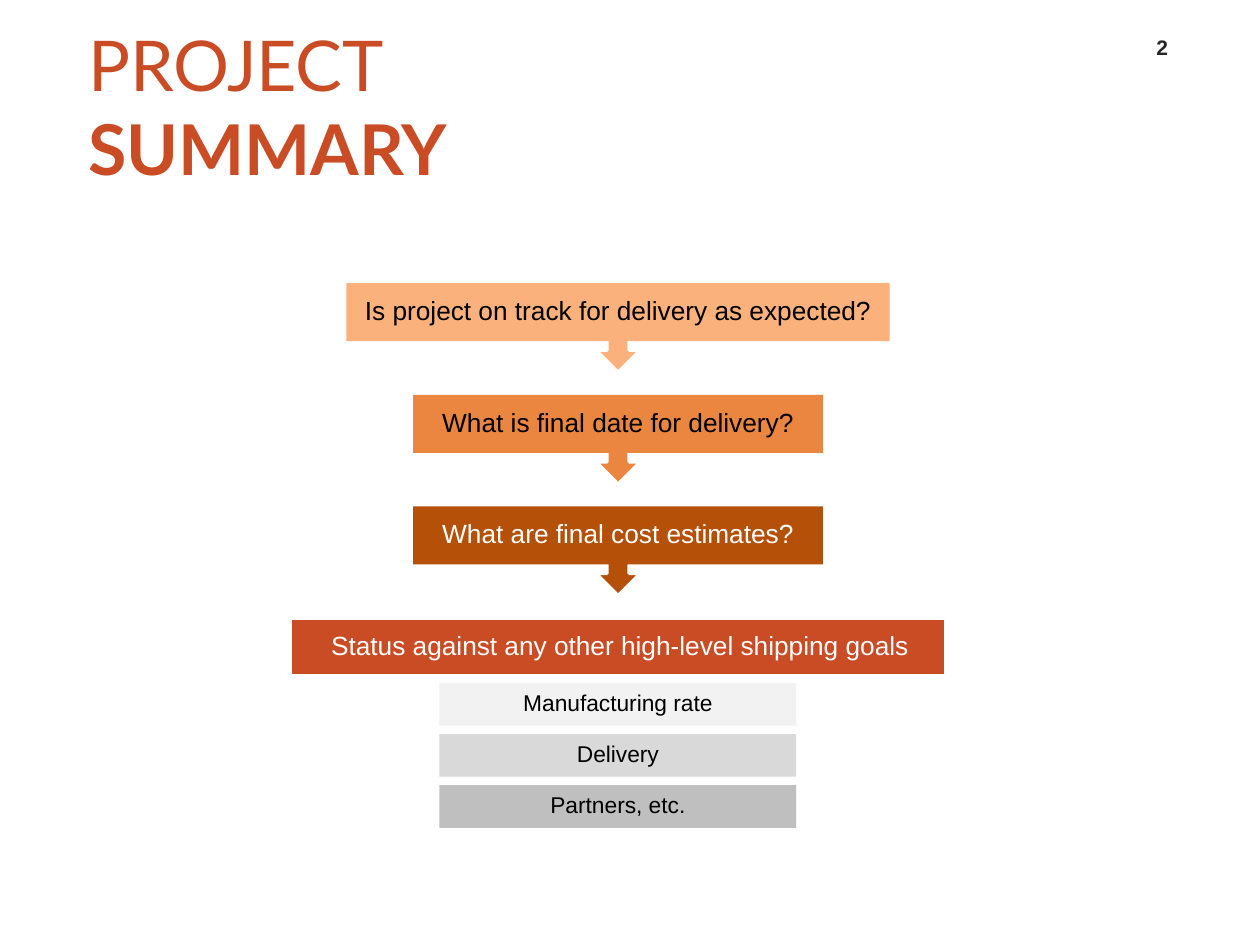
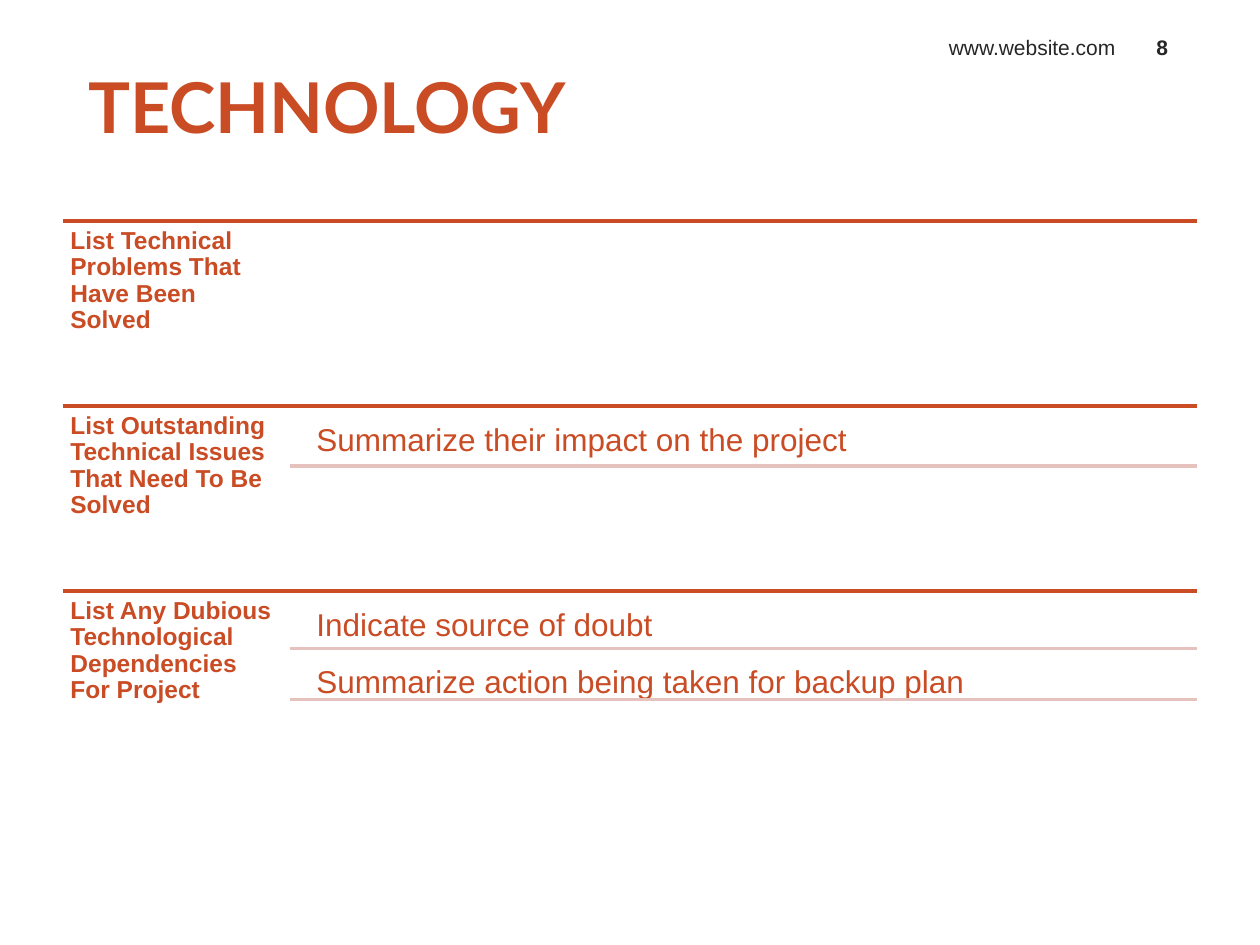
from dataclasses import dataclass

from lxml import etree
from pptx import Presentation
from pptx import util as u
from pptx.dml.color import RGBColor
from pptx.enum import shapes, text
from pptx.oxml.ns import qn


@dataclass(frozen=True)
class Theme:
    body: str = "Arial"
    head: str = "Lato"
    rust: str = "C94C25"
    peach: str = "FAB17B"
    orange: str = "EA8640"
    brown: str = "B45007"
    pale: str = "E6C2BE"
    ink: str = "262626"
    black: str = "000000"
    white: str = "FFFFFF"
    grays: tuple = ("F2F2F2", "D9D9D9", "BFBFBF")
    title: int = 40
    note: int = 18
    step: int = 15
    label: int = 14
    item: int = 13
    foot: int = 12
    line: int = 2


T = Theme()
MID = 12.46
LEFT, RIGHT = 1.27, 24.13
ALIGN = text.PP_ALIGN
ANCHOR = text.MSO_ANCHOR
KIND = shapes.MSO_SHAPE


def apply(obj, values):
    for name, value in values.items():
        setattr(obj, name, value)


def box(*sizes):
    return [u.Cm(size) for size in sizes]


def style(run, size, color, bold=False, face=T.body):
    apply(run.font, {"size": u.Pt(size), "bold": bold, "name": face})
    run.font.color.rgb = RGBColor.from_string(color)


def write(shape, words, size, color, bold=False, align=ALIGN.LEFT,
          anchor=ANCHOR.TOP, pad=None, space=None):
    frame = shape.text_frame
    apply(frame, {"word_wrap": True, "vertical_anchor": anchor})
    if pad is not None:
        sides = ("left", "top", "right", "bottom")
        apply(frame, {f"margin_{side}": u.Cm(pad) for side in sides})
    para = frame.paragraphs[0]
    apply(para, {"alignment": align, "line_spacing": space})
    run = para.add_run()
    run.text = words
    style(run, size, color, bold)


def label(slide, place, words, size, color, **look):
    write(slide.shapes.add_textbox(*box(*place)), words, size, color, **look)


def block(slide, place, fill, kind=KIND.RECTANGLE, edge=None):
    shape = slide.shapes.add_shape(kind, *box(*place))
    shape.shadow.inherit = False
    shape.fill.solid()
    shape.fill.fore_color.rgb = RGBColor.from_string(fill)
    if edge:
        shape.line.color.rgb = RGBColor.from_string(edge)
        shape.line.width = u.Pt(T.line)
    else:
        shape.line.fill.background()
    return shape


def panel(slide, place, fill, words, size, color, pad):
    write(block(slide, place, fill), words, size, color, align=ALIGN.CENTER,
          anchor=ANCHOR.MIDDLE, pad=pad, space=0.9)


def rule(slide, left, top, color):
    line = slide.shapes.add_connector(
        shapes.MSO_CONNECTOR.STRAIGHT, *box(left, top, RIGHT, top))
    line.line.color.rgb = RGBColor.from_string(color)
    line.line.width = u.Pt(T.line)
    etree.SubElement(line._element.spPr, qn("a:effectLst"))


def start(deck, number, *parts):
    slide = deck.slides.add_slide(deck.slide_layouts[5])
    title = slide.shapes.title
    left, top, width, height = box(LEFT, 1.02, 13.54, 2.21)
    apply(title, {"left": left, "top": top, "width": width, "height": height})
    frame = title.text_frame
    apply(frame, {"word_wrap": True, "auto_size": text.MSO_AUTO_SIZE.NONE,
                  "vertical_anchor": ANCHOR.MIDDLE,
                  "margin_left": 0, "margin_right": 0})
    para = frame.paragraphs[0]
    para.alignment = ALIGN.LEFT
    para._p.get_or_add_pPr().set("marL", str(u.Cm(0.51)))
    for words, bold in parts:
        run = para.add_run()
        run.text = words
        style(run, T.title, T.rust, bold, T.head)
    label(slide, (22.73, 0.48, 1.4, 0.84), number, T.foot, T.ink,
          bold=True, align=ALIGN.CENTER, anchor=ANCHOR.BOTTOM)
    return slide


def summary(deck):
    slide = start(deck, "2", ("PROJECT ", False), ("SUMMARY", True))
    top, gap, tall = 5.71, 2.25, 1.17
    steps = (
        ("Is project on track for delivery as expected?", 10.95, T.peach, T.black),
        ("What is final date for delivery?", 8.26, T.orange, T.black),
        ("What are final cost estimates?", 8.26, T.brown, T.white),
    )
    for words, width, fill, color in steps:
        left = MID - width / 2
        arrow = block(slide, (left, top, width, 1.8), fill,
                      KIND.UP_ARROW_CALLOUT, T.white)
        arrow.rotation = 180
        panel(slide, (left, top, width, tall), fill, words, T.step, color, 0.3)
        top += gap
    block(slide, (MID - 6.61, top, 13.21, tall), T.rust, edge=T.white)
    panel(slide, (6.15, top + 0.26, 12.7, 0.64), T.rust,
          "Status against any other high-level shipping goals",
          T.step, T.white, 0.3)
    items = ("Manufacturing rate", "Delivery", "Partners, etc.")
    for i, (words, fill) in enumerate(zip(items, T.grays)):
        panel(slide, (MID - 3.6, 13.77 + i * 1.03, 7.19, 0.86), fill, words,
              T.item, T.black, 0.25)


def issues(deck):
    slide = start(deck, "8", ("TECHNOLOGY", True))
    top, tall, gap = 4.45, 3.73, 0.19
    rows = (
        ("List Technical Problems That Have Been Solved", ()),
        ("List Outstanding Technical Issues That Need To Be Solved",
         (("Summarize their impact on the project", 1.02),)),
        ("List Any Dubious Technological Dependencies For Project",
         (("Indicate source of doubt", 0.97),
          ("Summarize action being taken for backup plan", 0.84))),
    )
    for words, notes in rows:
        rule(slide, LEFT, top, T.rust)
        label(slide, (LEFT, top, 4.57, tall), words, T.label, T.rust,
              bold=True, pad=0.15, space=0.9)
        low = top
        for note, high in notes:
            low += gap
            label(slide, (6.2, low, 17.96, high), note, T.note, T.rust,
                  pad=0.18, space=0.9)
            low += high
            rule(slide, 5.84, low, T.pale)
        top += tall
    label(slide, (15.88, 0.48, 6.86, 0.84), "www.website.com", T.foot, T.ink,
          align=ALIGN.RIGHT, anchor=ANCHOR.BOTTOM)


def main():
    deck = Presentation()
    apply(deck, {"slide_width": u.Cm(25.4), "slide_height": u.Cm(19.05)})
    summary(deck)
    issues(deck)
    deck.save("out.pptx")


if __name__ == "__main__":
    main()
